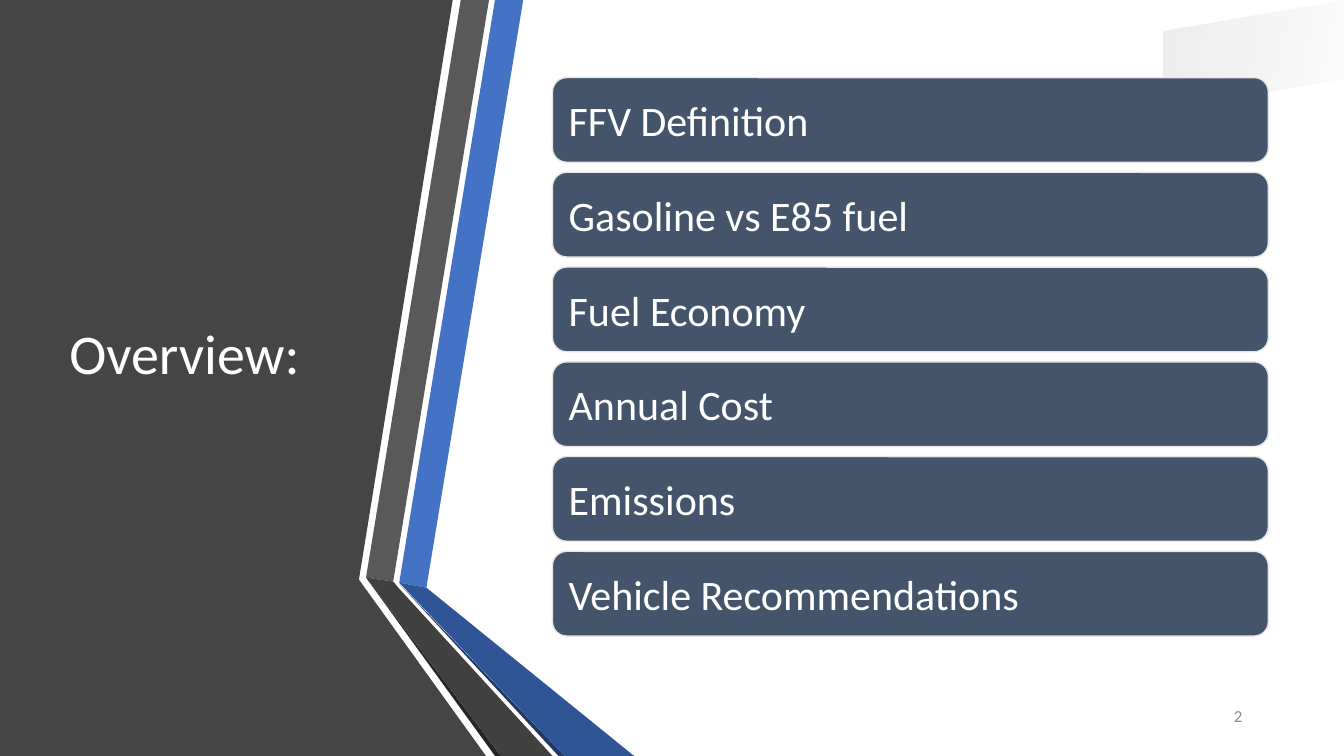
from lxml.etree import SubElement as Sub
from pptx import Presentation
from pptx.dml.color import RGBColor as RGB
from pptx.enum.shapes import MSO_SHAPE as Shape
from pptx.enum.text import MSO_ANCHOR as Anchor, PP_ALIGN as Align
from pptx.oxml.ns import qn
from pptx.util import Inches, Pt

# Content
TITLE = "Overview:"
PAGE = "2"
TOPICS = [
    "FFV Definition",
    "Gasoline vs E85 fuel",
    "Fuel Economy",
    "Annual Cost",
    "Emissions",
    "Vehicle Recommendations",
]

COLORS = {
    "white": "FFFFFF", "panel": "454545", "blue": "4472C4", "gray": "595959",
    "black": "262626", "navy": "203864", "deep": "2F5597", "coal": "404040",
    "bar": "44546A", "edge": "E7E6E6", "page": "8C8C8C", "shade": "00001A",
}

# Outlines in inches, back to front
SHADE = [(13.33, 0), (11.54, 0.31), (11.54, 1.1), (13.33, 0.78)]
BANDS = [
    ("panel", [(0, 0), (4.49, 0), (3.56, 5.75), (4.82, 7.5), (0, 7.5)]),
    ("blue", [(3.96, 5.78), (4.23, 5.83), (5.19, 0), (4.91, 0)]),
    ("gray", [(4.85, 0), (4.57, 0), (3.63, 5.73), (3.9, 5.77)]),
    ("black", [(3.63, 5.73), (4.91, 7.5), (4.97, 7.5)]),
    ("navy", [(3.96, 5.79), (5.54, 7.5), (5.6, 7.5)]),
    ("deep", [(3.96, 5.78), (5.6, 7.5), (6.29, 7.5), (4.23, 5.83)]),
    ("coal", [(5.48, 7.5), (3.95, 5.83), (3.9, 5.77), (3.63, 5.73),
              (4.97, 7.5)]),
]

# Bar grid
LEFT, TOP, WIDE, HIGH, STEP = 5.48, 0.77, 7.1, 0.84, 0.94

deck = Presentation()
deck.slide_width, deck.slide_height = Inches(13.33), Inches(7.5)
shapes = deck.slides.add_slide(deck.slide_layouts[6]).shapes


def color(name):
    return RGB.from_string(COLORS[name])


def draw(points):
    spots = [(Inches(x), Inches(y)) for x, y in points]
    pen = shapes.build_freeform(*spots[0], scale=1.0)
    pen.add_line_segments(spots[1:], close=True)
    form = pen.convert_to_shape()
    form.shadow.inherit = False
    form.line.fill.background()
    return form


def write(shape, text, size, tint="white", align=Align.LEFT, inset=0.1, lead=1.0):
    frame = shape.text_frame
    frame.word_wrap = True
    frame.vertical_anchor = Anchor.MIDDLE
    frame.margin_left = frame.margin_right = Inches(inset)
    par = frame.paragraphs[0]
    par.alignment, par.line_spacing = align, lead
    run = par.add_run()
    run.text = text
    run.font.name, run.font.size = "Calibri", Pt(size)
    run.font.color.rgb = color(tint)


def box(*place):
    return shapes.add_textbox(*map(Inches, place))


# Faint corner shade
fill = draw(SHADE).fill
fill.gradient()
fill.gradient_angle = 350
for stop in fill.gradient_stops:
    stop.color.rgb = color("shade")
stops = shapes[0].element.spPr.iter(qn("a:srgbClr"))
for tone, alpha in zip(list(stops), (8, 2)):
    Sub(tone, qn("a:alpha"), val=str(alpha * 1000))

# Dark panel and folded bands
for name, points in BANDS:
    band = draw(points)
    band.fill.solid()
    band.fill.fore_color.rgb = color(name)

# Title and page number
write(box(0.59, 0.75, 3.04, 5.58), TITLE, 40, lead=0.9)
write(box(11.23, 6.9, 1.19, 0.4), PAGE, 12, tint="page", align=Align.RIGHT)

# Topic bars
for row, topic in enumerate(TOPICS):
    place = (LEFT, TOP + row * STEP, WIDE, HIGH)
    bar = shapes.add_shape(Shape.ROUNDED_RECTANGLE, *map(Inches, place))
    bar.shadow.inherit = False
    bar.fill.solid()
    bar.fill.fore_color.rgb = color("bar")
    bar.line.color.rgb = color("edge")
    bar.line.width = Pt(1)
    write(bar, topic, 30, inset=0.12)

deck.save("out.pptx")
